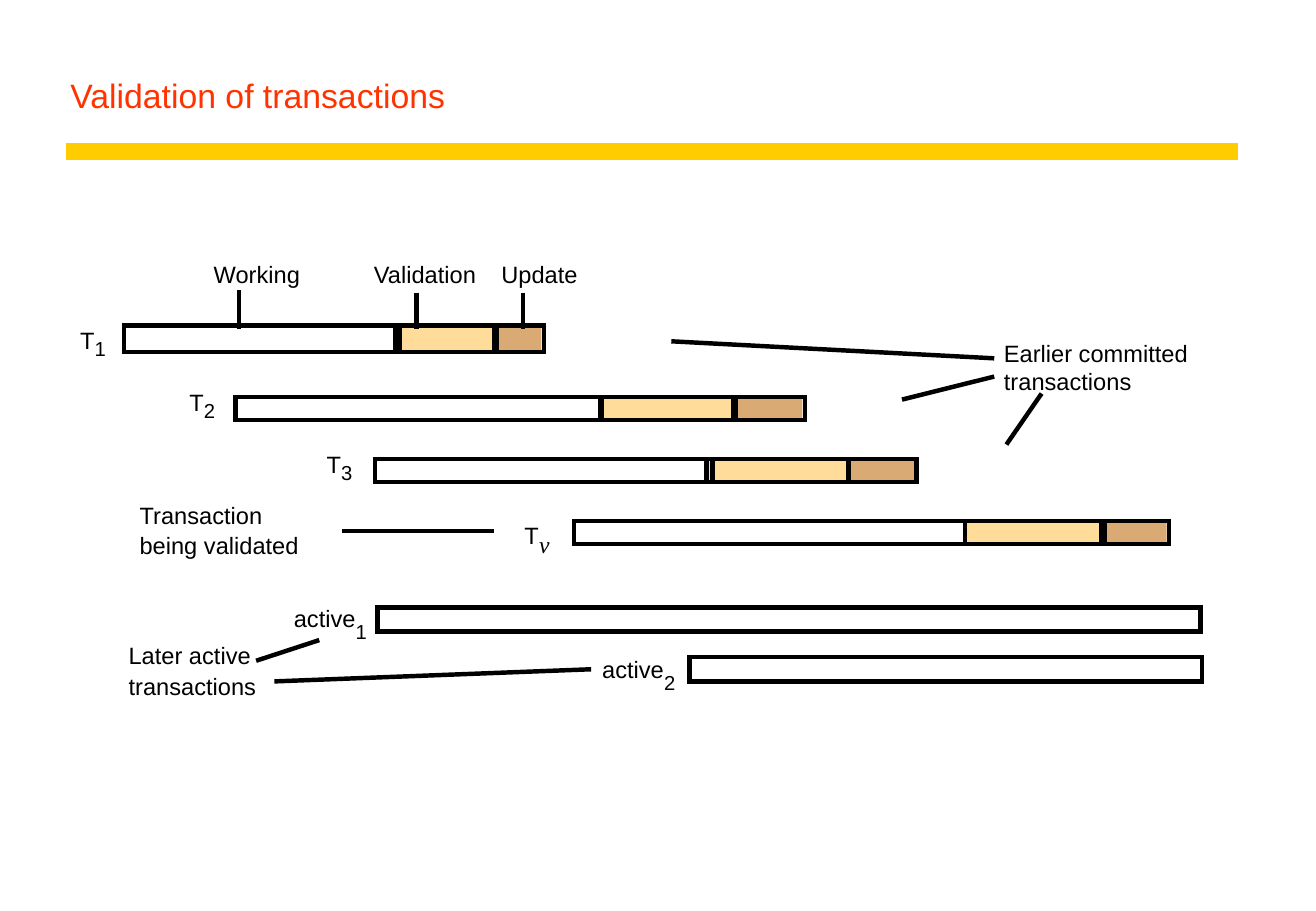
"""Build a slide that shows the validation of overlapping transactions as phase bars."""
from lxml import etree
from pptx import Presentation
from pptx.dml.color import RGBColor
from pptx.enum.shapes import MSO_CONNECTOR, MSO_SHAPE
from pptx.enum.text import MSO_ANCHOR, MSO_AUTO_SIZE, PP_ALIGN
from pptx.oxml.ns import qn
from pptx.util import Inches, Pt

STRAIGHT = MSO_CONNECTOR.STRAIGHT
RECTANGLE = MSO_SHAPE.RECTANGLE
BOTTOM = MSO_ANCHOR.BOTTOM
FIXED_SIZE = MSO_AUTO_SIZE.NONE
LEFT = PP_ALIGN.LEFT

CELL = Inches(0.01)
COLUMNS, ROWS = 1084, 750
OVERLAP = 2
OUTLINE = 2.64
COLORS = {
    "title": "FF3300",
    "rule": "FFCC00",
    "ink": "000000",
    "working": "FFFFFF",
    "validation": "FFDC99",
    "update": "D9AA73",
}
COLORS = {name: RGBColor.from_string(value) for name, value in COLORS.items()}
PHASES = ("working", "validation", "update")

deck = Presentation()
deck.slide_width, deck.slide_height = COLUMNS * CELL, ROWS * CELL
page = deck.slides.add_slide(deck.slide_layouts[5])


def add_line(start_column, start_row, end_column, end_row, color="ink", width=OUTLINE):
    line = page.shapes.add_connector(
        STRAIGHT, start_column * CELL, start_row * CELL, end_column * CELL, end_row * CELL)
    line.line.color.rgb = COLORS[color]
    line.line.width = Pt(width)
    etree.SubElement(line._element.spPr, qn("a:effectLst"))


def add_label(text, column, row, columns, size=14, font="Arial", italic=False, gap=0):
    lines = text.split("\n")
    box = page.shapes.add_textbox(
        column * CELL, row * CELL, columns * CELL, 24 * len(lines) * CELL)
    frame = box.text_frame
    frame.margin_left = frame.margin_top = frame.margin_right = frame.margin_bottom = 0
    frame.word_wrap = True
    frame.auto_size = FIXED_SIZE
    frame.text = text
    for number, para in enumerate(frame.paragraphs):
        para.alignment = LEFT
        para.font.size = Pt(size)
        para.font.name = font
        para.font.italic = italic
        para.font.color.rgb = COLORS["ink"]
        if number:
            para.space_before = Pt(gap)


title = page.shapes.title
title.left, title.top, title.width, title.height = (
    cells * CELL for cells in (48, 25, 972, 75))
title.text_frame.text = "Validation of transactions"
title.text_frame.vertical_anchor = BOTTOM
heading = title.text_frame.paragraphs[0]
heading.alignment = LEFT
heading.font.size = Pt(20)
heading.font.name = "Arial"
heading.font.color.rgb = COLORS["title"]
add_line(54, 125, 1020, 125, "rule", 10)

bars = [
    (268, 22, [(102, 329), (326, 409), (407, 448)]),
    (327, 19, [(194, 496), (494, 606), (604, 663)]),
    (378, 19, [(309, 587), (582, 699), (699, 755)]),
    (429, 19, [(473, 795), (795, 910), (907, 963)]),
    (500, 20, [(311, 989)]),
    (541, 20, [(568, 990)]),
]
for top, height, spans in bars:
    for phase, (left, right) in zip(PHASES, spans):
        fill = page.shapes.add_shape(
            RECTANGLE, left * CELL, top * CELL, (right - left - OVERLAP) * CELL, height * CELL)
        fill.shadow.inherit = False
        fill.fill.solid()
        fill.fill.fore_color.rgb = COLORS[phase]
        fill.line.fill.background()
    for left, right in spans:
        outline = page.shapes.add_shape(
            RECTANGLE, left * CELL, top * CELL, (right - left) * CELL, height * CELL)
        outline.shadow.inherit = False
        outline.fill.background()
        outline.line.color.rgb = COLORS["ink"]
        outline.line.width = Pt(OUTLINE)
        etree.SubElement(outline._element.spPr.find(qn("a:ln")), qn("a:miter"), lim="800000")

for phase, column, columns in [("Working", 176, 85), ("Validation", 308, 100), ("Update", 413, 75)]:
    add_label(phase, column, 214, columns)

bar_names = [
    ("T", 66, 268, 12, "1", 9),
    ("T", 156, 319, 12, "2", 9),
    ("T", 269, 370, 12, "3", 9),
    ("active", 242, 497, 51, "1", 13),
    ("active", 496, 539, 51, "2", 13),
]
for name, column, row, columns, index, drop in bar_names:
    add_label(name, column, row, columns + 8)
    add_label(index, column + columns, row + drop, 15, size=12)
add_label("T", 432, 429, 20)
add_label("v", 444, 436, 15, font="Times New Roman", italic=True)

add_label("Earlier committed\ntransactions", 827, 279, 180)
add_label("Transaction\nbeing validated", 115, 412, 160, gap=1.2)
add_label("Later active\ntransactions", 106, 528, 130, gap=1.2)

pointers = [
    (197, 239, 197, 271),
    (343, 241, 343, 271),
    (431, 241, 431, 271),
    (553, 281, 819, 295),
    (743, 329, 819, 310),
    (829, 366, 858, 324),
    (282, 437, 407, 437),
    (211, 544, 263, 527),
    (226, 561, 487, 551),
]
for pointer in pointers:
    add_line(*pointer)

deck.save("out.pptx")
